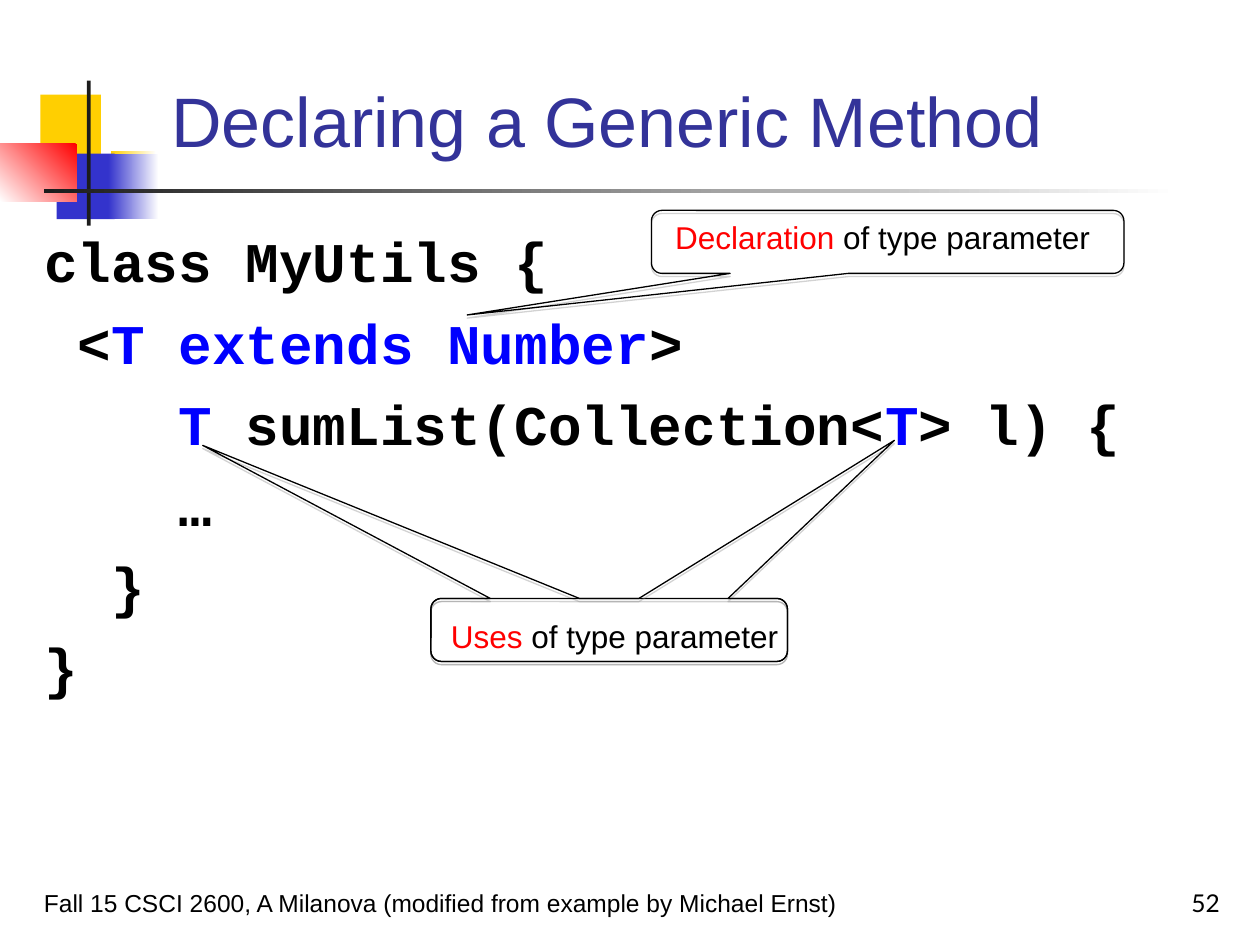
from lxml import etree
from pptx import Presentation
from pptx.dml.color import RGBColor
from pptx.enum.shapes import MSO_SHAPE
from pptx.enum.text import MSO_ANCHOR, MSO_AUTO_SIZE, PP_ALIGN
from pptx.oxml.ns import qn
from pptx.util import Inches, Pt

RECT = MSO_SHAPE.RECTANGLE
CALLOUT = MSO_SHAPE.ROUNDED_RECTANGULAR_CALLOUT
TOP, BOTTOM = MSO_ANCHOR.TOP, MSO_ANCHOR.BOTTOM
LEFT, RIGHT = PP_ALIGN.LEFT, PP_ALIGN.RIGHT
NO_FIT = MSO_AUTO_SIZE.NONE

WHITE = RGBColor(0xFF, 0xFF, 0xFF)
BLACK = RGBColor(0, 0, 0)
CHARCOAL = RGBColor(0x1C, 0x1C, 0x1C)
GOLD = RGBColor(0xFF, 0xCF, 0x01)
INDIGO = RGBColor(0x33, 0x33, 0xCC)
NAVY = RGBColor(0x33, 0x33, 0x99)
RED = RGBColor(0xFF, 0, 0)
BLUE = RGBColor(0, 0, 0xFF)

COLUMNS, ROWS = 100, 75
CODE_SIZE = 32
CODE_CHAR = Pt(CODE_SIZE * 0.6)

CODE = [
    (0, [("class MyUtils {", BLACK)]),
    (1, [("<", BLACK), ("T extends Number", BLUE), (">", BLACK)]),
    (4, [("T", BLUE), (" sumList(Collection<", BLACK), ("T", BLUE), ("> l) {", BLACK)]),
    (4, [("…", BLACK)]),
    (2, [("}", BLACK)]),
    (0, [("}", BLACK)]),
]


class Deck:
    """Holds the style, the grid and the current slide."""

    def __init__(self):
        self.prs = Presentation()
        self.prs.slide_width, self.prs.slide_height = Inches(10), Inches(7.5)
        self.s = self.prs.slides.add_slide(self.prs.slide_layouts[1])

    def box(self, col, row, cols, rows):
        """Turn grid units into left, top, width and height."""
        x, y = self.prs.slide_width / COLUMNS, self.prs.slide_height / ROWS
        return [round(v) for v in (col * x, row * y, cols * x, rows * y)]

    def place(self, sp, grid, anchor):
        """Move a placeholder and return its text frame."""
        sp.left, sp.top, sp.width, sp.height = self.box(*grid)
        tf = sp.text_frame
        tf.auto_size, tf.vertical_anchor, tf.word_wrap = NO_FIT, anchor, True
        return tf

    def add_runs(self, p, parts, size, font="Arial", bold=False, align=LEFT):
        """Fill a paragraph with coloured runs."""
        p.alignment = align
        for text, color in parts:
            r = p.add_run()
            r.text = text
            r.font.name, r.font.size, r.font.bold = font, Pt(size), bold
            r.font.color.rgb = color

    def title(self, grid, text):
        """Format the title placeholder."""
        tf = self.place(self.s.shapes.title, grid, BOTTOM)
        self.add_runs(tf.paragraphs[0], [(text, NAVY)], 40)

    def code(self, grid, lines):
        """Set code lines in the body placeholder, indented by characters."""
        tf = self.place(self.s.placeholders[1], grid, TOP)
        for i, (indent, parts) in enumerate(lines):
            p = tf.add_paragraph() if i else tf.paragraphs[0]
            self.add_runs(p, parts, CODE_SIZE, "Courier New", True)
            p.space_before = Pt(8)
            pPr = p._p.get_or_add_pPr()
            pPr.set("marL", str(indent * CODE_CHAR))
            pPr.set("indent", "0")
            etree.SubElement(pPr, qn("a:buNone"))

    def block(self, grid, color, end=None, angle=180):
        """Draw a plain or gradient rectangle."""
        sp = self.s.shapes.add_shape(RECT, *self.box(*grid))
        sp.shadow.inherit = False
        sp.line.fill.background()
        if end is None:
            sp.fill.solid()
            sp.fill.fore_color.rgb = color
            return
        sp.fill.gradient()
        sp.fill.gradient_angle = angle
        for stop, rgb in zip(sp.fill.gradient_stops, (color, end)):
            stop.color.rgb = rgb

    def callout(self, grid, tip):
        """Draw an outlined callout with a soft shadow."""
        sp = self.s.shapes.add_shape(CALLOUT, *self.box(*grid))
        sp.adjustments[0], sp.adjustments[1] = tip
        sp.fill.background()
        sp.line.color.rgb, sp.line.width = BLACK, Pt(0.75)
        sp.shadow.inherit = False
        effects = sp._element.spPr.find(qn("a:effectLst"))
        shadow = etree.SubElement(effects, qn("a:outerShdw"), blurRad="0",
                                  dist=str(Pt(1.8)), dir="5400000", rotWithShape="0")
        color = etree.SubElement(shadow, qn("a:srgbClr"), val="808080")
        etree.SubElement(color, qn("a:alpha"), val="35000")

    def text(self, grid, parts, size, font="Arial", align=LEFT, anchor=TOP, wrap=True):
        """Add a text box of one paragraph."""
        tf = self.s.shapes.add_textbox(*self.box(*grid)).text_frame
        tf.word_wrap, tf.vertical_anchor = wrap, anchor
        self.add_runs(tf.paragraphs[0], parts, size, font, align=align)


def main():
    """Build and save the slide."""
    deck = Deck()
    deck.block((3.2, 7.5, 4.8, 5.2), GOLD)
    deck.block((8.8, 12, 3.6, 5.2), WHITE, GOLD)
    deck.block((4.5, 12.2, 4.6, 5.2), INDIGO)
    deck.block((8.6, 12.2, 4, 5.2), WHITE, INDIGO)
    deck.block((0, 11.4, 6.1, 4.6), RED, WHITE, 225)
    deck.block((6.9, 6.4, 0.3, 11.5), CHARCOAL)
    deck.block((3.5, 15, 90, 0.3), WHITE, CHARCOAL)

    deck.title((12.6, 2.3, 85.2, 11), "Declaring a Generic Method")
    deck.code((2.5, 17.5, 97.5, 49.6), CODE)
    footer = "Fall 15 CSCI 2600, A Milanova (modified from example by Michael Ernst)"
    deck.text((2.5, 68.3, 70.8, 5), [(footer, BLACK)], 14, anchor=BOTTOM)
    deck.text((77, 68.3, 20.8, 5), [("52", BLACK)], 14, "Lato", RIGHT, BOTTOM)

    label = (" of type parameter", BLACK)
    deck.callout((51.7, 16.7, 37.5, 5), (-0.89, 1.16))
    deck.text((52.6, 16.8, 35.6, 4), [("Declaration", RED), label], 18, wrap=False)
    for tip in ((-1.14, -2.93), (0.8, -3.01)):
        deck.callout((34.2, 47.5, 28.3, 5), tip)
    deck.text((34.8, 48.5, 28.7, 4), [("Uses", RED), label], 18, wrap=False)

    deck.prs.save("out.pptx")


if __name__ == "__main__":
    main()
